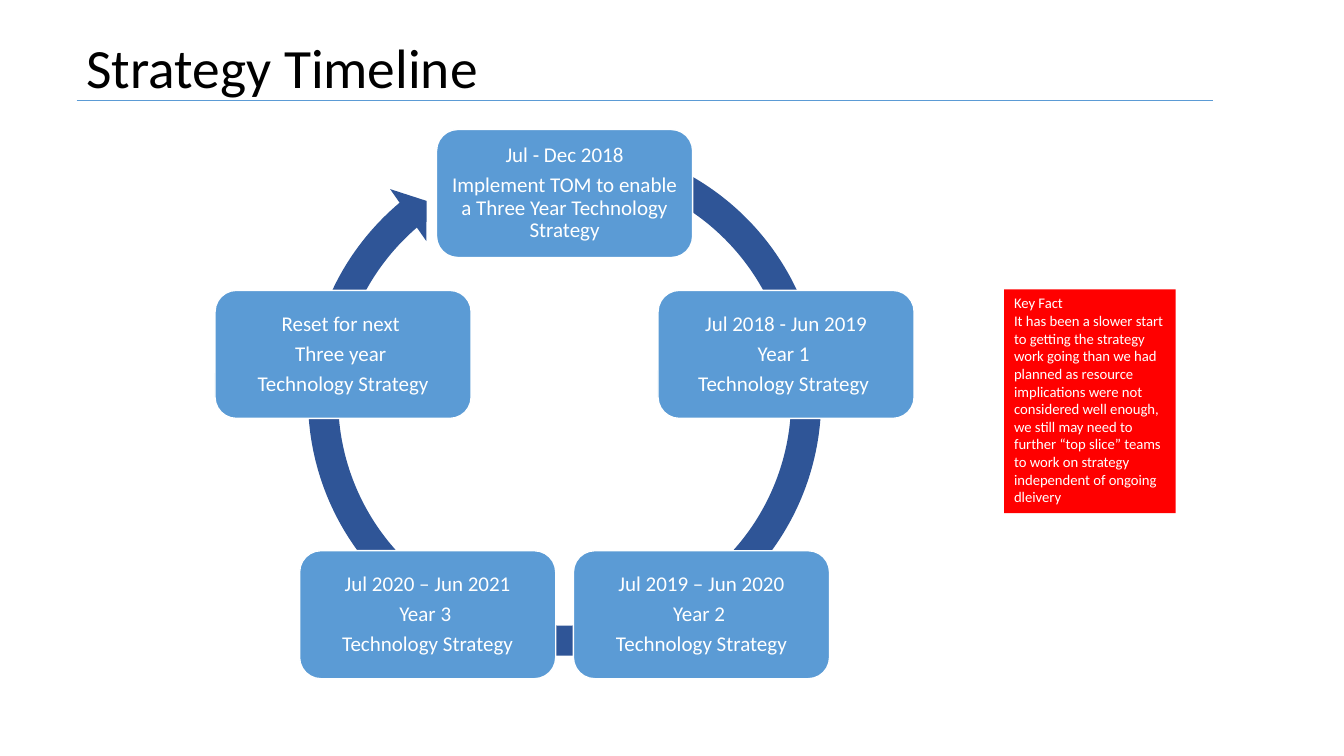
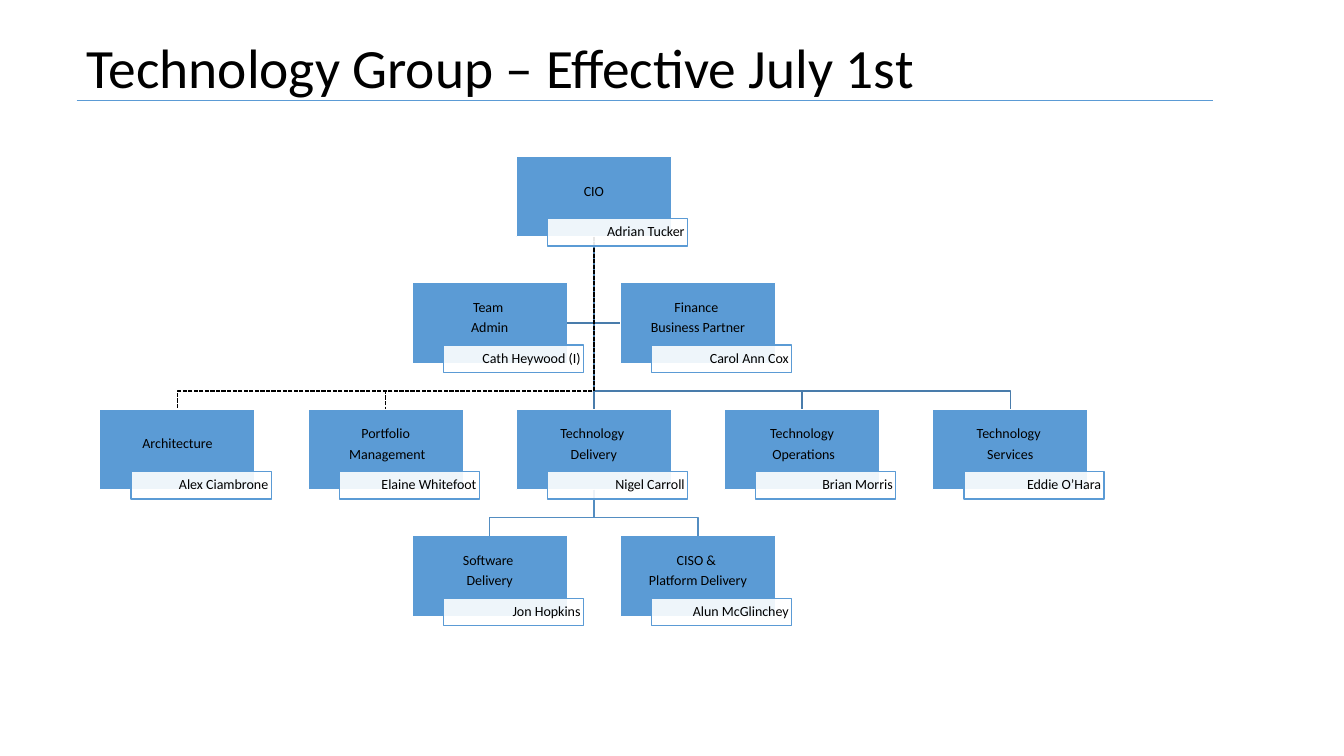
"""Build the strategy timeline and the technology group chart."""
import math

from lxml import etree
from pptx import Presentation
from pptx.dml.color import RGBColor
from pptx.enum.dml import MSO_LINE
from pptx.enum.shapes import MSO_CONNECTOR, MSO_SHAPE
from pptx.enum.text import MSO_ANCHOR, PP_ALIGN
from pptx.oxml.ns import qn
from pptx.shapes.connector import Connector
from pptx.util import Inches, Pt

STRAIGHT = MSO_CONNECTOR.STRAIGHT
RECT, ROUND_RECT, CIRCULAR_ARROW = (
    MSO_SHAPE.RECTANGLE, MSO_SHAPE.ROUNDED_RECTANGLE, MSO_SHAPE.CIRCULAR_ARROW)
TOP, MIDDLE = MSO_ANCHOR.TOP, MSO_ANCHOR.MIDDLE
LEFT, CENTER, RIGHT = PP_ALIGN.LEFT, PP_ALIGN.CENTER, PP_ALIGN.RIGHT
DASHED = MSO_LINE.SQUARE_DOT
SIDE_TOP, SIDE_LEFT, SIDE_BOTTOM, SIDE_RIGHT = range(4)

FONT = "Calibri"
COLORS = {
    "blue": "5B9BD5", "ring": "2F5597", "alert": "FF0000", "white": "FFFFFF",
    "black": "000000", "report": "497CAB", "subreport": "538DC1",
}


def paint(shape, fill=None, line=None, width=1):
    if line:
        shape.line.color.rgb = RGBColor.from_string(COLORS[line])
        shape.line.width = Pt(width)
    else:
        shape.line.fill.background()
    if isinstance(shape, Connector):
        etree.SubElement(shape._element.spPr, qn("a:effectLst"))
        return
    shape.shadow.inherit = False
    if fill:
        shape.fill.solid()
        shape.fill.fore_color.rgb = RGBColor.from_string(COLORS[fill])
    else:
        shape.fill.background()


def write(shape, lines, size, color, align, anchor=MIDDLE,
          insets=(0.1, 0.05, 0.1, 0.05), spacing=0.9, after=0):
    frame = shape.text_frame
    frame_format = {"word_wrap": True, "vertical_anchor": anchor}
    for side, inset in zip(("left", "top", "right", "bottom"), insets):
        frame_format[f"margin_{side}"] = Inches(inset)
    for name, value in frame_format.items():
        setattr(frame, name, value)
    line_format = {"alignment": align, "line_spacing": spacing,
                   "space_after": Pt(size * after)}
    font_format = {"name": FONT, "size": Pt(size)}
    for index, text in enumerate(lines):
        paragraph = frame.paragraphs[0] if index == 0 else frame.add_paragraph()
        for name, value in line_format.items():
            setattr(paragraph, name, value)
        run = paragraph.add_run()
        run.text = text
        for name, value in font_format.items():
            setattr(run.font, name, value)
        run.font.color.rgb = RGBColor.from_string(COLORS[color])


prs = Presentation()
prs.slide_width, prs.slide_height = Inches(13.33), Inches(7.5)

slides = []
for heading in ("Strategy Timeline", "Technology Group – Effective July 1st"):
    slide = prs.slides.add_slide(prs.slide_layouts[6])
    rule = slide.shapes.add_connector(
        STRAIGHT, Inches(0.76), Inches(1), Inches(12.03), Inches(1))
    paint(rule, line="blue", width=0.5)
    title = slide.shapes.add_textbox(
        Inches(0.76), Inches(0.4), Inches(11.65), Inches(0.6))
    write(title, [heading], 39.6, "black", LEFT)
    slides.append(slide.shapes)
timeline, chart = slides

cycle = timeline.add_shape(
    CIRCULAR_ARROW, Inches(2.89), Inches(1.25), Inches(5.42), Inches(5.42))
for index, value in enumerate((0.055, 3.307, 137.792, 173.84, 0.058)):
    cycle.adjustments[index] = value
paint(cycle, "ring")

STAGES = [
    ["Jul - Dec 2018", "Implement TOM to enable a Three Year Technology Strategy"],
    ["Jul 2018 - Jun 2019", "Year 1 ", "Technology Strategy "],
    ["Jul 2019 – Jun 2020", "Year 2 ", "Technology Strategy"],
    ["Jul 2020 – Jun 2021", "Year 3 ", "Technology Strategy"],
    ["Reset for next ", "Three year ", "Technology Strategy"],
]
CENTER_X, CENTER_Y, RADIUS = 5.6, 4.23, 2.31
STAGE_W, STAGE_H = 2.54, 1.27
for index, lines in enumerate(STAGES):
    angle = 2 * math.pi * index / len(STAGES)
    left = CENTER_X + RADIUS * math.sin(angle) - STAGE_W / 2
    top = CENTER_Y - RADIUS * math.cos(angle) - STAGE_H / 2
    stage = timeline.add_shape(
        ROUND_RECT, Inches(left), Inches(top), Inches(STAGE_W), Inches(STAGE_H))
    paint(stage, "blue", "white")
    write(stage, lines, 15, "white", CENTER, insets=(0.06,) * 4, after=0.35)

key_fact = timeline.add_shape(
    RECT, Inches(9.96), Inches(2.87), Inches(1.7), Inches(2.22))
paint(key_fact, "alert")
write(key_fact, [
    "Key Fact",
    "It has been a slower start to getting the strategy work going than we had "
    "planned as resource implications were not considered well enough, we still "
    "may need to further “top slice” teams to work on strategy independent of "
    "ongoing dleivery",
], 10.5, "white", LEFT, TOP, spacing=1)

ROLES = {
    "cio": (2, 0, ["CIO"], "Adrian Tucker"),
    "admin": (1.5, 1, ["Team ", "Admin"], "Cath Heywood (I)"),
    "finance": (2.5, 1, ["Finance ", "Business Partner"], "Carol Ann Cox"),
    "architecture": (0, 2, ["Architecture"], "Alex Ciambrone"),
    "portfolio": (1, 2, ["Portfolio", " Management"], "Elaine Whitefoot"),
    "delivery": (2, 2, ["Technology ", "Delivery"], "Nigel Carroll"),
    "operations": (3, 2, ["Technology", " Operations"], "Brian Morris"),
    "services": (4, 2, ["Technology ", "Services"], "Eddie O’Hara"),
    "software": (1.5, 3, ["Software ", "Delivery"], "Jon Hopkins"),
    "platform": (2.5, 3, ["CISO & ", "Platform Delivery"], "Alun McGlinchey"),
}
GRID_LEFT, GRID_TOP = 0.99, 1.55
COLUMN_STEP, ROW_STEP = 2.065, 1.255
ROLE_W, ROLE_H = 1.54, 0.8
roles = {}
for key, (column, row, lines, person) in ROLES.items():
    role = chart.add_shape(
        RECT, Inches(GRID_LEFT + column * COLUMN_STEP),
        Inches(GRID_TOP + row * ROW_STEP), Inches(ROLE_W), Inches(ROLE_H))
    paint(role, "blue", "white")
    write(role, lines, 10, "black", CENTER,
          insets=(0.01, 0.01, 0.01, 0.11), after=0.35)
    roles[key] = role

for start, start_side, end, end_side in (
        ("admin", SIDE_RIGHT, "finance", SIDE_LEFT),
        ("cio", SIDE_BOTTOM, "delivery", SIDE_TOP)):
    link = chart.add_connector(STRAIGHT, 0, 0, 0, 0)
    link.begin_connect(roles[start], start_side)
    link.end_connect(roles[end], end_side)
    paint(link, line="report")

for manager, report, color, dash in (
        ("cio", "services", "report", None),
        ("cio", "operations", "report", None),
        ("delivery", "platform", "subreport", None),
        ("delivery", "software", "subreport", None),
        ("cio", "portfolio", "black", DASHED),
        ("cio", "architecture", "black", DASHED)):
    upper, lower = roles[manager], roles[report]
    start_x = upper.left + upper.width // 2
    end_x = lower.left + lower.width // 2
    bend_y = lower.top - Inches(0.18)
    route = chart.build_freeform(start_x, upper.top + upper.height)
    route.add_line_segments(
        [(start_x, bend_y), (end_x, bend_y), (end_x, lower.top)], close=False)
    branch = route.convert_to_shape()
    paint(branch, line=color)
    if dash:
        branch.line.dash_style = dash

for key, role in roles.items():
    name_tag = chart.add_shape(
        RECT, role.left + Inches(0.31), role.top + Inches(0.62),
        Inches(1.39), Inches(0.27))
    paint(name_tag, "white", "blue")
    tint = name_tag._element.spPr.find(qn("a:solidFill"))[0]
    etree.SubElement(tint, qn("a:alpha"), val="90000")
    write(name_tag, [ROLES[key][3]], 10, "black", RIGHT,
          insets=(0.03, 0.01, 0.03, 0.01), after=0.35)

prs.save("out.pptx")
